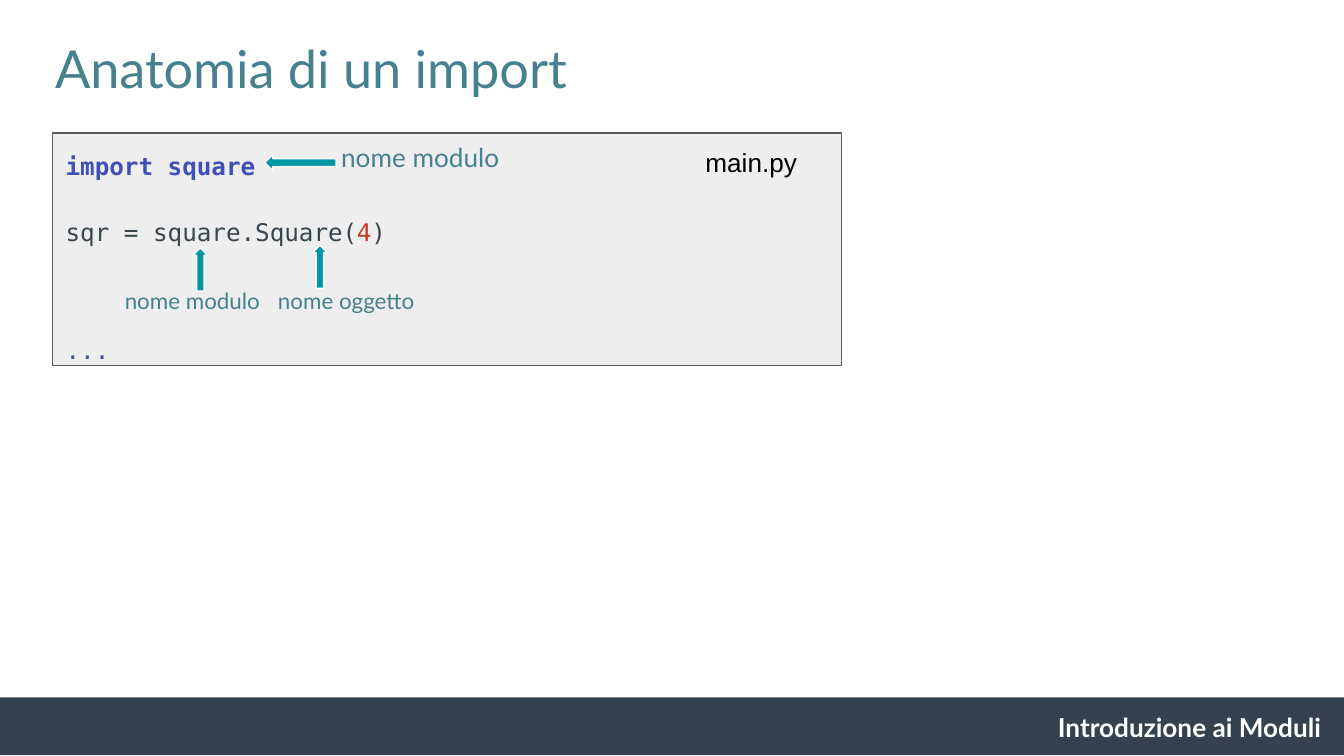
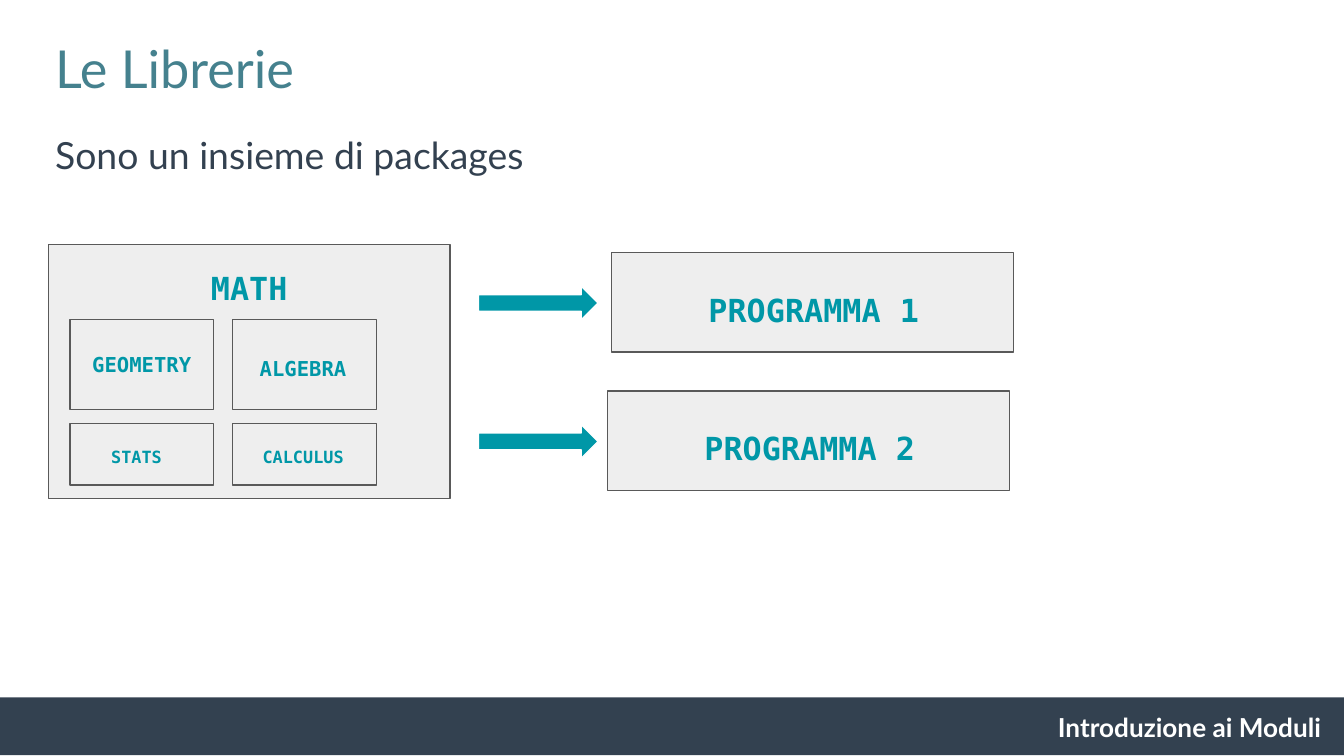
from dataclasses import dataclass

from lxml.etree import SubElement
from pptx import Presentation
from pptx.dml.color import RGBColor as Color
from pptx.enum.shapes import MSO_SHAPE as Shape
from pptx.enum.text import MSO_ANCHOR as Anchor, MSO_AUTO_SIZE as AutoSize, PP_ALIGN as Align
from pptx.oxml.ns import qn
from pptx.util import Inches, Pt


@dataclass(frozen=True)
class Theme:
    navy: str = "334150"
    teal: str = "45818E"
    accent: str = "0097A7"
    panel: str = "EEEEEE"
    border: str = "595959"
    white: str = "FFFFFF"
    black: str = "000000"
    keyword: str = "3F51B5"
    code: str = "37474F"
    number: str = "C53929"
    sans: str = "Lato"
    mono: str = "DejaVu Sans Mono"
    plain: str = "Arial"
    title_size: int = 28
    body_size: int = 20
    heading_size: int = 17
    label_size: int = 14
    code_size: int = 13
    note_size: int = 12
    package_size: int = 11
    small_size: int = 9
    line_width: float = 0.75


THEME = Theme()
FRAME = {
    "word_wrap": True,
    "auto_size": AutoSize.NONE,
    "vertical_anchor": Anchor.TOP,
    "margin_left": Inches(0.1),
    "margin_right": Inches(0.1),
    "margin_top": Inches(0.1),
    "margin_bottom": Inches(0.1),
}


def apply(target, values):
    for name, value in values.items():
        setattr(target, name, value)


def place(box, area):
    apply(box, dict(zip(("left", "top", "width", "height"), map(Inches, area))))


def add_span(para, text, size, color, font=THEME.sans, bold=False):
    span = para.add_run()
    span.text = text
    apply(span.font, {"size": Pt(size), "name": font, "bold": bold})
    span.font.color.rgb = Color.from_string(color)


def format_para(para, align=Align.LEFT, spacing=1.0, before=0):
    apply(para, {"alignment": align, "line_spacing": spacing,
                 "space_before": Pt(before), "space_after": Pt(0)})


def add_text(page, area, text, size, color, font=THEME.sans, bold=False, **layout):
    box = page.shapes.add_textbox(*map(Inches, area))
    apply(box.text_frame, FRAME)
    para = box.text_frame.paragraphs[0]
    format_para(para, **layout)
    add_span(para, text, size, color, font, bold)


def fill_placeholder(box, area, text, size, color, spacing=1.0):
    place(box, area)
    apply(box.text_frame, FRAME)
    para = box.text_frame.paragraphs[0]
    properties = para._p.get_or_add_pPr()
    for name in ("marL", "indent"):
        properties.set(name, "0")
    SubElement(properties, qn("a:buNone"))
    format_para(para, spacing=spacing)
    add_span(para, text, size, color)


def add_block(page, kind, area, fill, line=None, rotation=0):
    block = page.shapes.add_shape(kind, *map(Inches, area))
    block.shadow.inherit = False
    block.rotation = rotation
    block.fill.solid()
    block.fill.fore_color.rgb = Color.from_string(fill)
    if line:
        block.line.color.rgb = Color.from_string(line)
        block.line.width = Pt(THEME.line_width)
    else:
        block.line.fill.background()


def add_panel(page, area):
    add_block(page, Shape.RECTANGLE, area, THEME.panel, THEME.border)


def add_arrow(page, kind, area, rotation=0):
    add_block(page, kind, area, THEME.accent, THEME.white, rotation)


def add_caption(page, area, text, size):
    add_text(page, area, text, size, THEME.accent, THEME.mono, True,
             align=Align.CENTER, spacing=1.15)


def add_code(page, area, lines):
    box = page.shapes.add_textbox(*map(Inches, area))
    apply(box.text_frame, FRAME)
    for index, (spacing, before, spans) in enumerate(lines):
        para = box.text_frame.add_paragraph() if index else box.text_frame.paragraphs[0]
        format_para(para, spacing=spacing, before=before)
        for text, color, bold in spans:
            add_span(para, text, THEME.code_size, color, THEME.mono, bold)


def add_page(deck, layout, title):
    page = deck.slides.add_slide(deck.slide_layouts[layout])
    fill_placeholder(page.shapes.title, (0.31, 0.17, 7.87, 1.14), title,
                     THEME.title_size, THEME.teal)
    add_block(page, Shape.RECTANGLE, (-0.02, 5.19, 10.02, 0.43), THEME.navy)
    add_text(page, (7.05, 5.19, 2.88, 0.43), "Introduzione ai Moduli",
             THEME.label_size, THEME.white, bold=True, align=Align.RIGHT)
    return page


def build_import_page(deck):
    page = add_page(deck, 5, "Anatomia di un import")
    add_panel(page, (0.39, 0.99, 5.87, 1.73))
    add_code(page, (0.39, 0.99, 5.94, 1.76), [
        (1.15, 0, [("import square", THEME.keyword, True)]),
        (1.15, 17.5, [("sqr = square.Square(", THEME.code, False),
                      ("4", THEME.number, False),
                      (")", THEME.code, False)]),
        (1.5, 40, [("...", THEME.keyword, False)]),
    ])
    add_text(page, (5.15, 0.99, 1.11, 0.44), "main.py",
             THEME.label_size, THEME.black, THEME.plain)
    add_arrow(page, Shape.LEFT_ARROW, (1.97, 1.15, 0.53, 0.12))
    add_text(page, (2.44, 0.95, 2.64, 0.44), "nome modulo", THEME.label_size, THEME.teal)
    for text, note_left, width, arrow_left, arrow_top in [
        ("nome modulo", 0.83, 1.38, 1.33, 1.95),
        ("nome oggetto", 1.97, 1.5, 2.22, 1.93),
    ]:
        add_arrow(page, Shape.LEFT_ARROW, (arrow_left, arrow_top, 0.32, 0.11), 90)
        add_text(page, (note_left, 2.04, width, 0.4), text, THEME.note_size, THEME.teal)


def build_library_page(deck):
    page = add_page(deck, 1, "Le Librerie")
    fill_placeholder(page.placeholders[1], (0.31, 0.83, 7.78, 0.54),
                     "Sono un insieme di packages", THEME.body_size, THEME.navy, 1.15)
    add_panel(page, (0.36, 1.82, 2.99, 1.89))
    add_caption(page, (0.37, 1.86, 2.97, 0.49), "MATH", THEME.heading_size)
    for text, left, top in [("PROGRAMMA 1", 4.55, 1.88), ("PROGRAMMA 2", 4.52, 2.91)]:
        add_arrow(page, Shape.RIGHT_ARROW, (3.56, top + 0.25, 0.89, 0.25))
        add_panel(page, (left, top, 2.99, 0.74))
        add_caption(page, (left + 0.02, top + 0.14, 2.97, 0.49), text, THEME.heading_size)
    rows = [
        (2.38, 0.67, 0.39, THEME.package_size,
         [("GEOMETRY", 0.48, 2.49), ("ALGEBRA", 1.68, 2.52)]),
        (3.15, 0.46, 0.35, THEME.small_size,
         [("STATS", 0.44, 3.2), ("CALCULUS", 1.68, 3.2)]),
    ]
    for top, height, caption_height, size, packages in rows:
        for column, (text, caption_left, caption_top) in enumerate(packages):
            add_panel(page, (0.52 + 1.21 * column, top, 1.07, height))
            add_caption(page, (caption_left, caption_top, 1.15, caption_height), text, size)


def main():
    deck = Presentation()
    width = Inches(10)
    apply(deck, {"slide_width": width, "slide_height": width * 9 // 16})
    build_import_page(deck)
    build_library_page(deck)
    deck.save("out.pptx")


if __name__ == "__main__":
    main()
